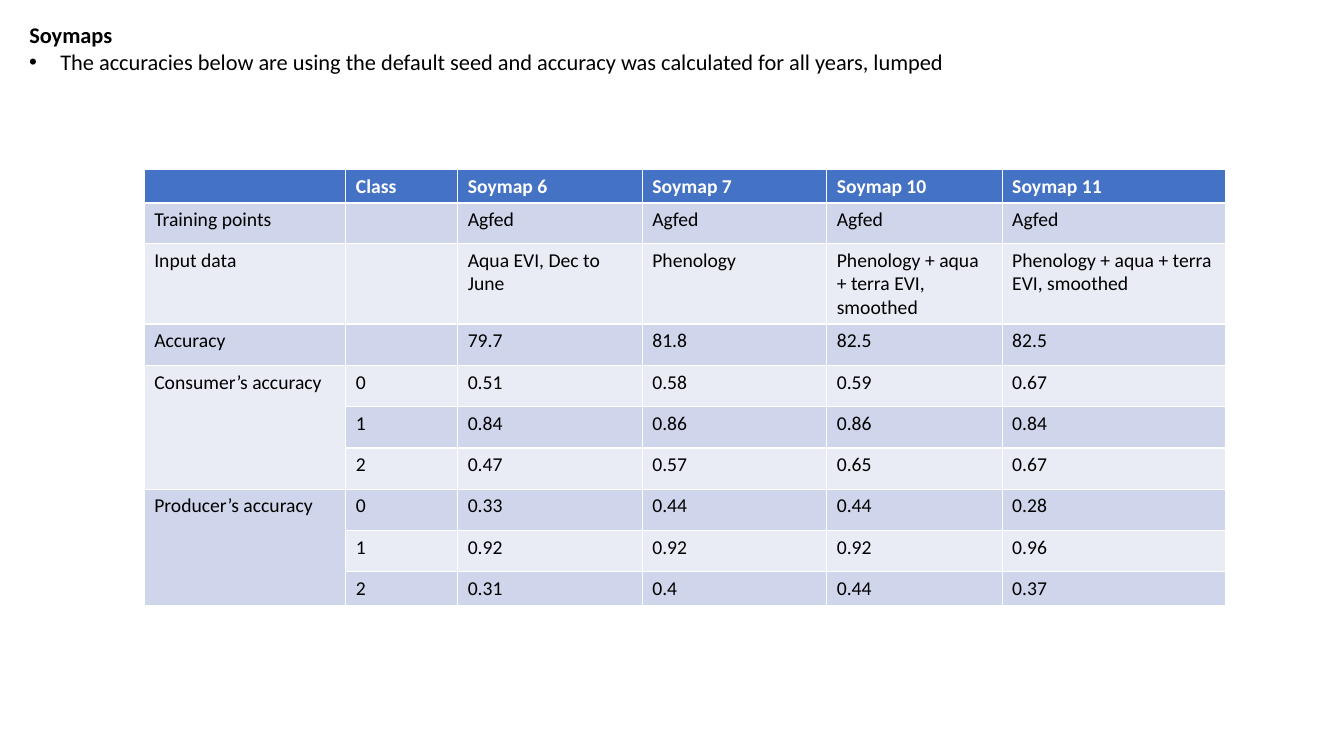
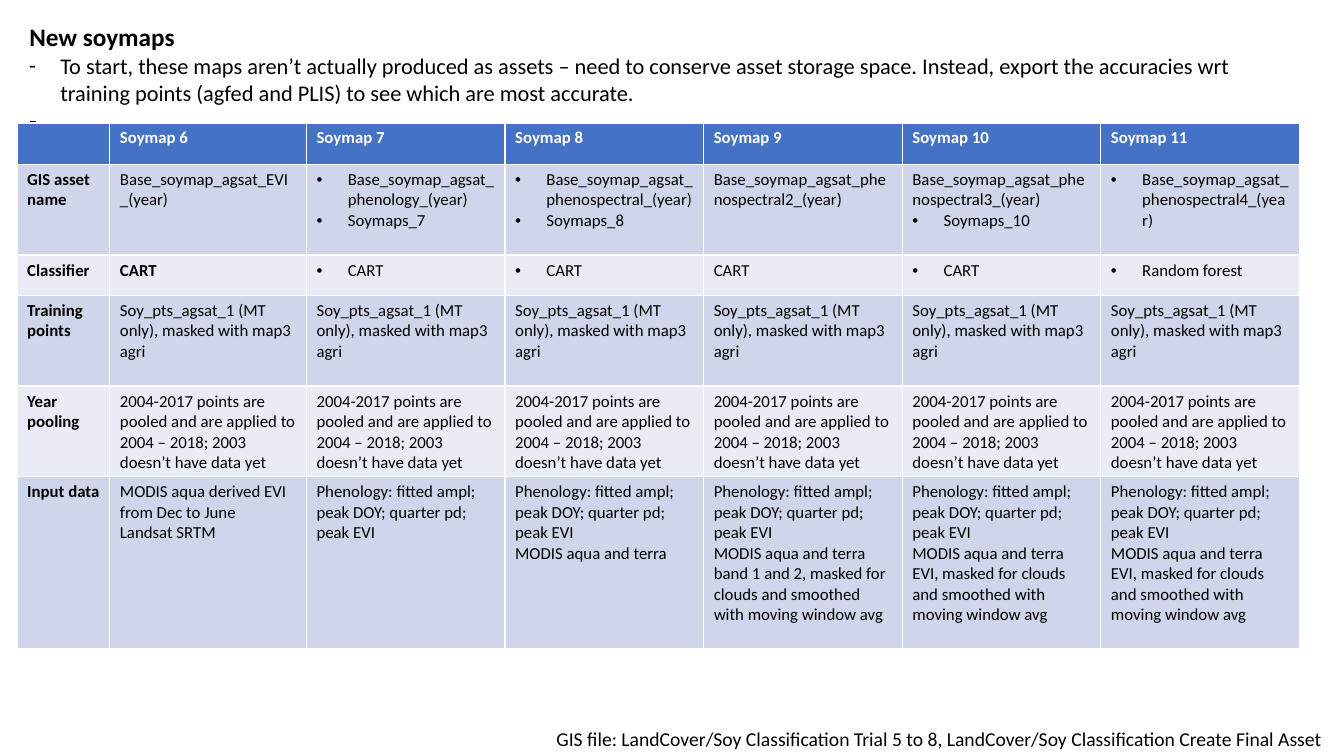
from dataclasses import dataclass
from lxml.etree import SubElement
from pptx import Presentation
from pptx.dml.color import RGBColor
from pptx.enum.text import MSO_ANCHOR, MSO_AUTO_SIZE, PP_ALIGN
from pptx.oxml.ns import qn
from pptx.util import Inches, Pt

FONT = "Calibri"
BLACK, WHITE, BLUE = "000000", "FFFFFF", "4472C4"
BANDS = ("E9EBF5", "CFD5EA")
MARKS = {"•": "Arial", "-": FONT}
LEFT, TOP, WIDTH = 0.19, 0.16, 12.72


@dataclass
class Line:
    text: str
    size: int
    bold: bool = False
    color: str = BLACK


@dataclass
class Grid:
    left: float
    top: float
    cols: list[float]
    rows: list[float]
    cells: list[list[str]]
    size: int
    strong: tuple = ()
    spans: tuple = ()


def paint(code: str) -> RGBColor:
    return RGBColor.from_string(code)


def bullet(para, mark: str) -> None:
    props = para._p.get_or_add_pPr()
    props.set("marL", str(Inches(0.31)))
    props.set("indent", str(-Inches(0.31)))
    SubElement(props, qn("a:buFont")).set("typeface", MARKS[mark])
    SubElement(props, qn("a:buChar")).set("char", mark)


def write(frame, lines: list[Line]) -> None:
    for spot, line in enumerate(lines):
        para = frame.add_paragraph() if spot else frame.paragraphs[0]
        text = line.text
        if text[:1] in MARKS:
            bullet(para, text[0])
            text = text[1:]
        if text:
            para.add_run().text = text
        else:
            end = SubElement(para._p, qn("a:endParaRPr"))
            end.set("sz", str(line.size * 100))
        para.alignment = PP_ALIGN.LEFT
        font = para.font
        font.name, font.size, font.bold = FONT, Pt(line.size), line.bold
        font.color.rgb = paint(line.color)


def label(slide, left: float, top: float, width: float, high: float,
          lines: list[Line], wrap: bool = True) -> None:
    box = slide.shapes.add_textbox(
        Inches(left), Inches(top), Inches(width), Inches(high))
    box.text_frame.word_wrap = wrap
    write(box.text_frame, lines)


def start(deck, title: Line, notes: list[Line], high: float):
    slide = deck.slides.add_slide(deck.slide_layouts[5])
    head = slide.shapes.title
    step = round(title.size * 0.017, 2)
    head.left, head.top = Inches(LEFT), Inches(TOP)
    head.width, head.height = Inches(WIDTH), Inches(step + 0.1)
    frame = head.text_frame
    frame.auto_size = MSO_AUTO_SIZE.NONE
    frame.vertical_anchor = MSO_ANCHOR.TOP
    write(frame, [title])
    label(slide, LEFT, TOP + step, WIDTH, high, notes)
    return slide


def draw(slide, grid: Grid) -> None:
    table = slide.shapes.add_table(
        len(grid.rows), len(grid.cols), Inches(grid.left), Inches(grid.top),
        Inches(sum(grid.cols)), Inches(sum(grid.rows))).table
    for col, width in zip(table.columns, grid.cols):
        col.width = Inches(width)
    for row, high in zip(table.rows, grid.rows):
        row.height = Inches(high)
    for r, texts in enumerate(grid.cells):
        for c, text in enumerate(texts):
            cell = table.cell(r, c)
            cell.fill.solid()
            cell.fill.fore_color.rgb = paint(BANDS[r % 2] if r else BLUE)
            bold = r == 0 or (r, c) in grid.strong
            color = BLACK if r else WHITE
            write(cell.text_frame, [Line(part, grid.size, bold, color)
                                    for part in text.split("\n")])
    for first, last in grid.spans:
        table.cell(first, 0).merge(table.cell(last, 0))


def scores(deck) -> None:
    slide = start(deck, Line("Soymaps", 16, True), [Line(
        "•The accuracies below are using the default seed and accuracy "
        "was calculated for all years, lumped", 16)], 0.37)
    mix = "Phenology + aqua + terra EVI, smoothed"
    cells = [
        ["", "Class", "Soymap 6", "Soymap 7", "Soymap 10", "Soymap 11"],
        ["Training points", ""] + ["Agfed"] * 4,
        ["Input data", "", "Aqua EVI, Dec to June", "Phenology", mix, mix],
        ["Accuracy", "", "79.7", "81.8", "82.5", "82.5"],
        ["Consumer’s accuracy", "0", "0.51", "0.58", "0.59", "0.67"],
        ["", "1", "0.84", "0.86", "0.86", "0.84"],
        ["", "2", "0.47", "0.57", "0.65", "0.67"],
        ["Producer’s accuracy", "0", "0.33", "0.44", "0.44", "0.28"],
        ["", "1", "0.92", "0.92", "0.92", "0.96"],
        ["", "2", "0.31", "0.4", "0.44", "0.37"],
    ]
    draw(slide, Grid(
        1.43, 1.68, [2, 1.11, 1.83, 1.83, 1.74, 2.22],
        [0.33, 0.4, 0.8] + [0.41] * 6 + [0.33],
        cells, 14, spans=((4, 6), (7, 9))))


def models(deck) -> None:
    slide = start(deck, Line("New soymaps", 18, True), [
        Line("-To start, these maps aren’t actually produced as assets – "
             "need to conserve asset storage space. Instead, export the "
             "accuracies wrt training points (agfed and PLIS) to see which "
             "are most accurate.", 16),
        Line("- ", 18, True)], 0.94)
    base = "Base_soymap_agsat_"
    points = "Soy_pts_agsat_1 (MT only), masked with map3 agri"
    years = ("2004-2017 points are pooled and are applied to "
             "2004 – 2018; 2003 doesn’t have data yet")
    pheno = "Phenology: fitted ampl; peak DOY; quarter pd; peak EVI"
    aqua = f"{pheno}\nMODIS aqua and terra"
    smooth = "masked for clouds and smoothed with moving window avg"
    evi = f"{aqua} EVI, {smooth}"
    cells = [
        [""] + [f"Soymap {n}" for n in range(6, 12)],
        ["GIS asset name", f"{base}EVI_(year)",
         f"•{base}phenology_(year)\n•Soymaps_7",
         f"•{base}phenospectral_(year)\n•Soymaps_8",
         f"{base}phenospectral2_(year)",
         f"{base}phenospectral3_(year)\n•Soymaps_10",
         f"•{base}phenospectral4_(year)"],
        ["Classifier", "CART", "•CART", "•CART", "CART", "•CART",
         "•Random forest"],
        ["Training points"] + [points] * 6,
        ["Year pooling"] + [years] * 6,
        ["Input data",
         "MODIS aqua derived EVI from Dec to June\nLandsat SRTM",
         pheno, aqua, f"{aqua} band 1 and 2, {smooth}", evi, evi],
    ]
    strong = tuple((r, 0) for r in range(1, 6)) + ((2, 1),)
    draw(slide, Grid(
        0.17, 1.22, [0.92, 1.95] + [1.97] * 5,
        [0.41, 0.9, 0.4, 0.9, 0.9, 1.7], cells, 12, strong))
    label(slide, 5.42, 7.16, 7.91, 0.34, [Line(
        "GIS file: LandCover/Soy Classification Trial 5 to 8, "
        "LandCover/Soy Classification Create Final Asset", 14)], False)


def main() -> None:
    deck = Presentation()
    deck.slide_width, deck.slide_height = Inches(13.33), Inches(7.5)
    scores(deck)
    models(deck)
    deck.save("out.pptx")


if __name__ == "__main__":
    main()
